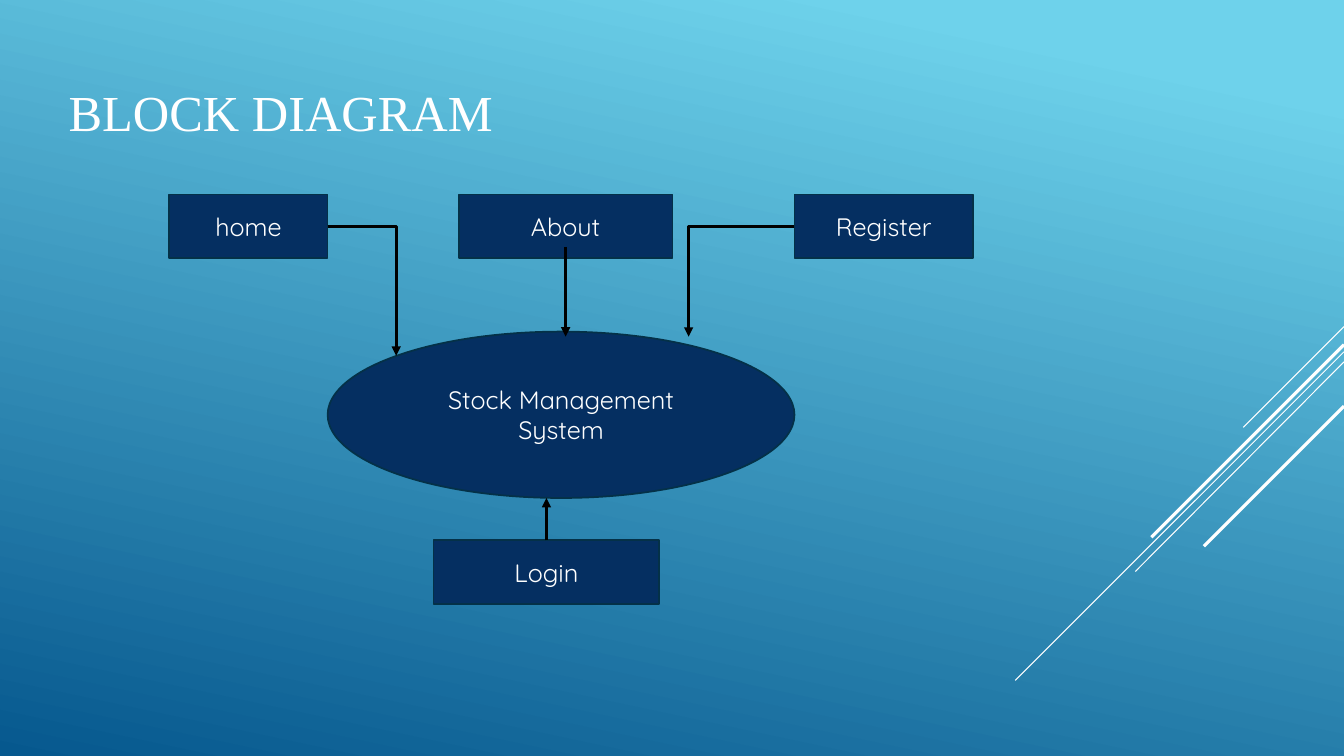
import dataclasses

import lxml.etree
import pptx
import pptx.dml.color
import pptx.enum.shapes
import pptx.enum.text
import pptx.oxml.ns
import pptx.shapes.autoshape
import pptx.shapes.connector
import pptx.slide
import pptx.text.text
import pptx.util

SCALE = 9144  # EMU per px, 100 px to the inch
WIDE, HIGH = 1333, 750
COLORS = {
    "sky": "6ED2EB",
    "deep": "06588E",
    "navy": "052F61",
    "edge": "043148",
    "white": "FFFFFF",
    "black": "000000",
}
KINDS = pptx.enum.shapes.MSO_SHAPE
LINKS = pptx.enum.shapes.MSO_CONNECTOR
ALIGN = pptx.enum.text.PP_ALIGN
MIDDLE = pptx.enum.text.MSO_ANCHOR.MIDDLE
ROW, TALL = 193, 63


@dataclasses.dataclass(frozen=True)
class Block:
    text: str
    left: int
    top: int
    width: int
    height: int = TALL
    kind: KINDS = KINDS.RECTANGLE


@dataclasses.dataclass(frozen=True)
class Link:
    start: tuple[int, int]
    end: tuple[int, int]
    color: str = "black"
    weight: float = 2.25
    arrow: bool = True
    bent: bool = False


def stripe(top: int, left: int, drop: int, weight: float) -> Link:
    """Diagonal accent running down from the right edge of the slide."""
    return Link((WIDE, top), (left, drop), "white", weight, arrow=False)


STRIPES = [
    stripe(324, 1233, 424, 0.75),
    stripe(349, 1007, 675, 0.75),
    stripe(359, 1126, 567, 0.75),
    stripe(342, 1142, 533, 2.25),
    stripe(403, 1194, 542, 2.25),
]
BLOCKS = [
    Block("home", 168, ROW, 157),
    Block("About", 455, ROW, 212),
    Block("Register", 788, ROW, 177),
    Block("Login", 430, 536, 224),
    Block("Stock Management System", 325, 329, 463, 165, KINDS.OVAL),
]
LOGIN = Link((542, 536), (542, 494))
ARROWS = [
    Link((325, 225), (393, 353), bent=True),
    Link((561, 245), (561, 334)),
    Link((788, 225), (683, 334), bent=True),
]


def emu(px: int) -> pptx.util.Emu:
    return pptx.util.Emu(px * SCALE)


def rgb(name: str) -> pptx.dml.color.RGBColor:
    return pptx.dml.color.RGBColor.from_string(COLORS[name])


def write(frame: pptx.text.text.TextFrame, text: str, font: str,
          size: int, align: ALIGN) -> None:
    frame.text = text
    frame.word_wrap = True
    frame.auto_size = pptx.enum.text.MSO_AUTO_SIZE.NONE
    frame.vertical_anchor = MIDDLE
    para = frame.paragraphs[0]
    para.alignment = align
    para.font.name = font
    para.font.size = pptx.util.Pt(size)
    para.font.color.rgb = rgb("white")


def paint(slide: pptx.slide.Slide) -> None:
    """Fill the background with the blue gradient."""
    fill = slide.background.fill
    fill.gradient()
    fill.gradient_angle = 258
    for stop, name, place in zip(fill.gradient_stops, ("sky", "deep"), (0.1, 1)):
        stop.color.rgb = rgb(name)
        stop.position = place


def head(slide: pptx.slide.Slide) -> None:
    """Place and format the title."""
    title = slide.shapes.title
    title.left, title.top = emu(58), emu(28)
    title.width, title.height = emu(933), emu(165)
    write(title.text_frame, "BLOCK DIAGRAM", "Times New Roman", 36, ALIGN.LEFT)


def draw(slide: pptx.slide.Slide,
         block: Block) -> pptx.shapes.autoshape.Shape:
    shape = slide.shapes.add_shape(
        block.kind, emu(block.left), emu(block.top),
        emu(block.width), emu(block.height))
    shape.shadow.inherit = False
    shape.fill.solid()
    shape.fill.fore_color.rgb = rgb("navy")
    shape.line.color.rgb = rgb("edge")
    shape.line.width = pptx.util.Pt(1.25)
    write(shape.text_frame, block.text, "Quicksand", 18, ALIGN.CENTER)
    return shape


def join(slide: pptx.slide.Slide,
         link: Link) -> pptx.shapes.connector.Connector:
    qn = pptx.oxml.ns.qn
    kind = LINKS.ELBOW if link.bent else LINKS.STRAIGHT
    line = slide.shapes.add_connector(
        kind, *(emu(px) for px in link.start + link.end))
    line.line.color.rgb = rgb(link.color)
    line.line.width = pptx.util.Pt(link.weight)
    props = line.element.spPr
    if link.bent:
        props.find(qn("a:prstGeom")).set("prst", "bentConnector2")
    if link.arrow:
        lxml.etree.SubElement(
            props.find(qn("a:ln")), qn("a:tailEnd"), type="triangle")
    lxml.etree.SubElement(props, qn("a:effectLst"))
    return line


def main() -> None:
    deck = pptx.Presentation()
    deck.slide_width, deck.slide_height = emu(WIDE), emu(HIGH)
    slide = deck.slides.add_slide(deck.slide_layouts[5])
    paint(slide)
    for link in STRIPES:
        join(slide, link)
    head(slide)
    shapes = {block.text: draw(slide, block) for block in BLOCKS}
    for link in ARROWS:
        join(slide, link)
    join(slide, LOGIN).begin_connect(shapes["Login"], 0)
    deck.save("out.pptx")


if __name__ == "__main__":
    main()
